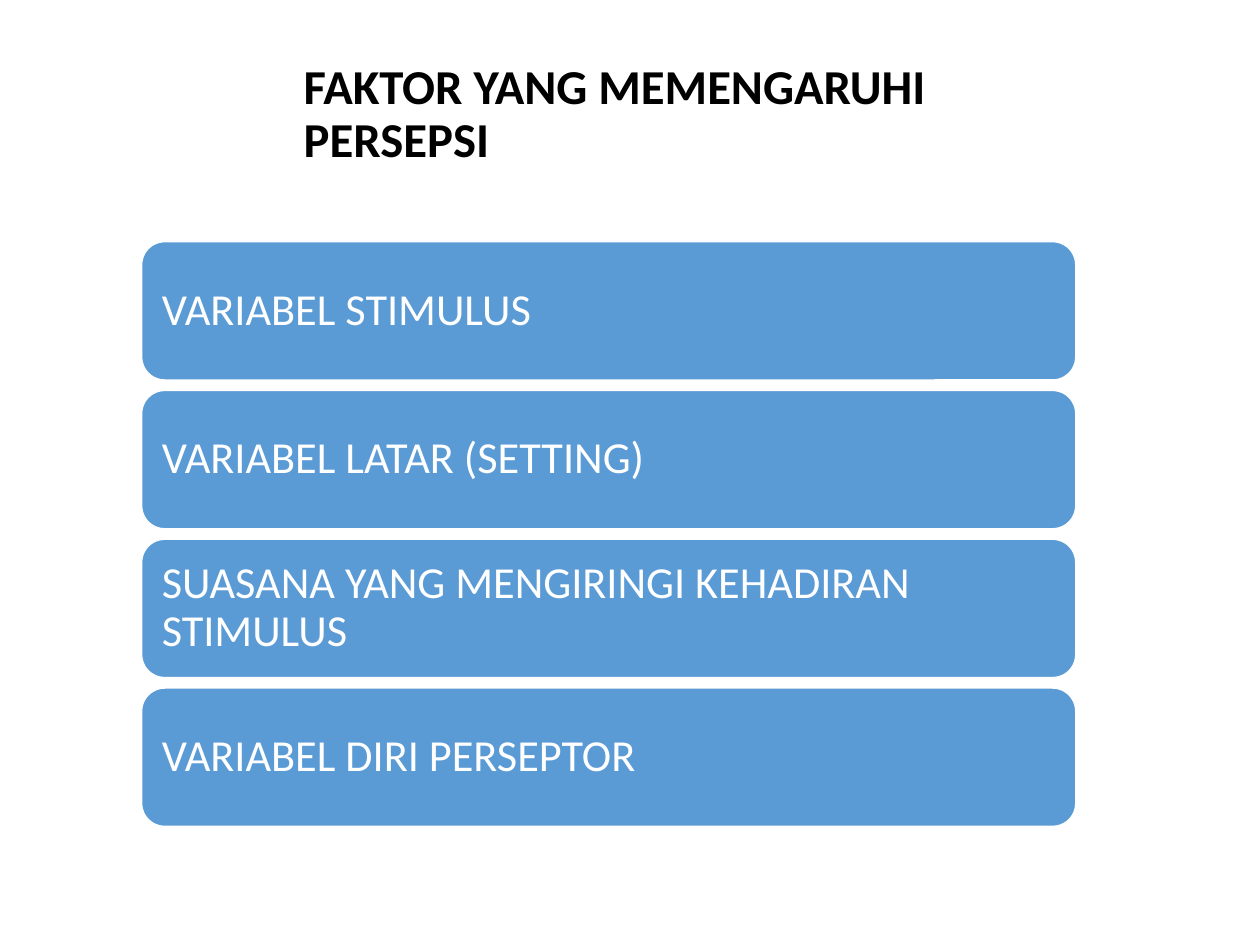
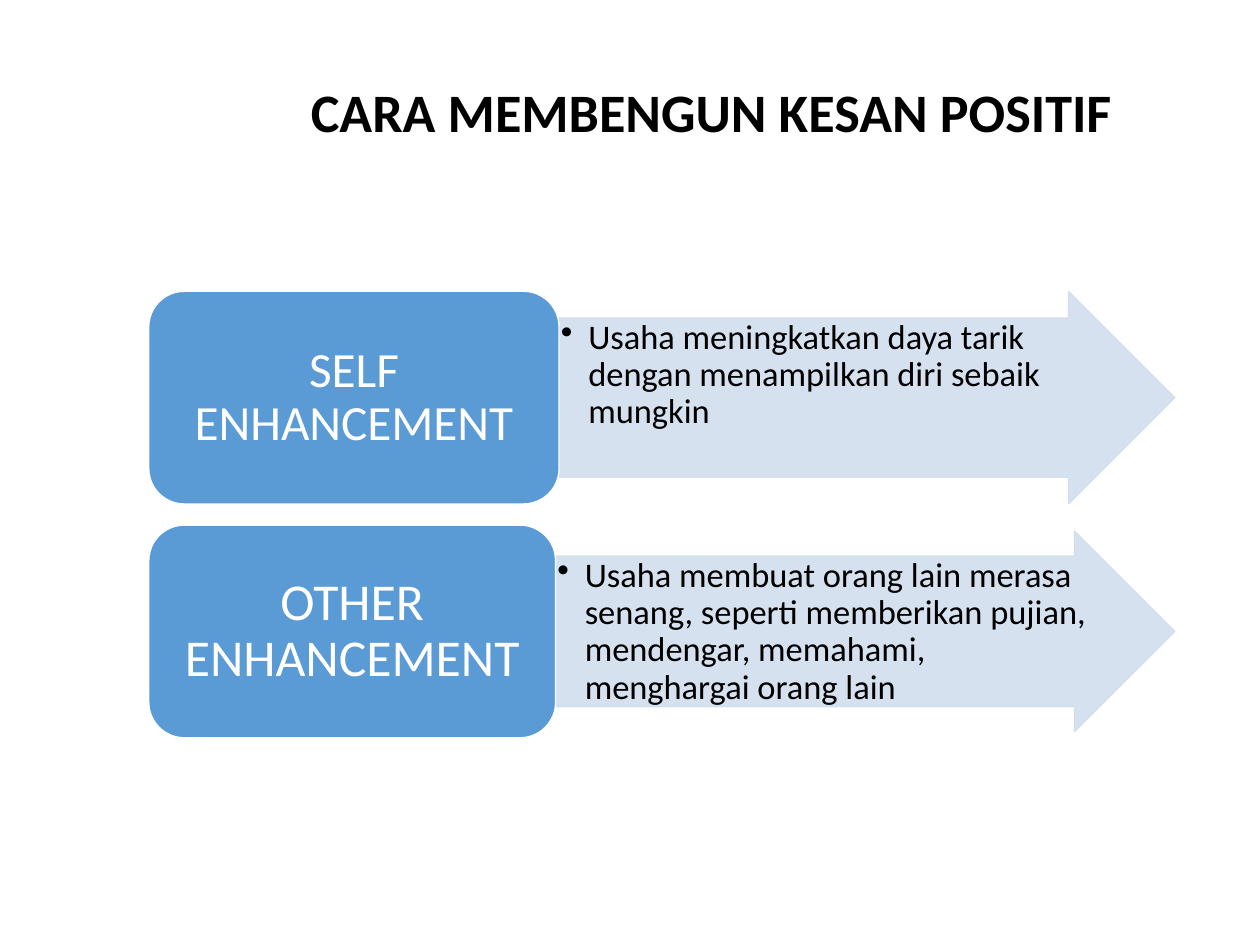
from pptx import Presentation
from pptx.dml.color import RGBColor
from pptx.enum.shapes import MSO_SHAPE as Shape
from pptx.enum.text import MSO_ANCHOR as Anchor, PP_ALIGN as Align
from pptx.oxml.ns import qn
from pptx.util import Inches, Pt
from lxml.etree import SubElement

# Shared look
FONT = "Calibri"
BLACK = RGBColor(0x00, 0x00, 0x00)
WHITE = RGBColor(0xFF, 0xFF, 0xFF)
BLUE = RGBColor(0x5B, 0x9B, 0xD5)
PALE_BLUE = RGBColor(0xD2, 0xDE, 0xEF)

presentation = Presentation()
presentation.slide_width = Inches(14.22)
presentation.slide_height = Inches(10.67)


def write(shape, text, size, color, align=Align.LEFT, anchor=Anchor.MIDDLE,
          insets=(0.1, 0.05), bold=False):
    """Set one styled paragraph; insets are horizontal and vertical."""
    frame = shape.text_frame
    frame.word_wrap = True
    frame.vertical_anchor = anchor
    frame.margin_left = frame.margin_right = Inches(insets[0])
    frame.margin_top = frame.margin_bottom = Inches(insets[1])
    paragraph = frame.paragraphs[0]
    paragraph.text = text
    paragraph.alignment = align
    paragraph.line_spacing = 0.9
    font = paragraph.font
    font.name, font.size, font.bold = FONT, Pt(size), bold
    font.color.rgb = color
    return paragraph


def add_block(slide, kind, box, fill, line):
    """Add a flat filled shape with a one-point outline."""
    shape = slide.shapes.add_shape(kind, *map(Inches, box))
    shape.shadow.inherit = False
    shape.fill.solid()
    shape.fill.fore_color.rgb = fill
    shape.line.color.rgb = line
    shape.line.width = Pt(1)
    return shape


# Slides and titles: text, left, width, size
titles = [
    ("FAKTOR YANG MEMENGARUHI PERSEPSI", 3.33, 9.36, 39.6),
    ("CARA MEMBENGUN KESAN POSITIF", 3.41, 9.61, 44),
]
slides = []
for text, left, width, size in titles:
    slide = presentation.slides.add_slide(presentation.slide_layouts[6])
    title = slide.shapes.add_textbox(
        Inches(left), Inches(0.77), Inches(width), Inches(1.06))
    write(title, text, size, BLACK, bold=True)
    slides.append(slide)
factor_slide, impression_slide = slides

# Slide 1: stacked factors
FACTOR_TOP, FACTOR_HEIGHT, FACTOR_GAP = 2.73, 1.56, 0.12
factors = [
    "VARIABEL STIMULUS",
    "VARIABEL LATAR (SETTING)",
    "SUASANA YANG MENGIRINGI KEHADIRAN STIMULUS",
    "VARIABEL DIRI PERSEPTOR",
]
for row, text in enumerate(factors):
    top = FACTOR_TOP + row * (FACTOR_HEIGHT + FACTOR_GAP)
    bar = add_block(factor_slide, Shape.ROUNDED_RECTANGLE,
                    (1.6, top, 10.54, FACTOR_HEIGHT), BLUE, WHITE)
    write(bar, text, 36, WHITE, insets=(0.15, 0.15))

# Slide 2: each strategy is a label followed by an arrow
LABEL_LEFT, LABEL_TOP, LABEL_HEIGHT, LABEL_PITCH = 1.68, 3.29, 2.4, 2.64
ARROW_TIP = 13.26
# Label, label width, label size, arrow height, explanation
strategies = [
    ("SELF ENHANCEMENT", 4.63, 40, 2.4,
     "Usaha meningkatkan daya tarik dengan menampilkan diri sebaik mungkin"),
    ("OTHER ENHANCEMENT", 4.59, 42, 2.27,
     "Usaha membuat orang lain merasa senang, seperti memberikan pujian, "
     "mendengar, memahami, menghargai orang lain"),
]
for row, (name, width, size, arrow_height, text) in enumerate(strategies):
    top = LABEL_TOP + row * LABEL_PITCH
    arrow_left = LABEL_LEFT + width
    arrow_top = top + (LABEL_HEIGHT - arrow_height) / 2
    arrow = add_block(
        impression_slide, Shape.RIGHT_ARROW,
        (arrow_left, arrow_top, ARROW_TIP - arrow_left, arrow_height),
        PALE_BLUE, PALE_BLUE)
    arrow.adjustments[0] = 0.75
    arrow.adjustments[1] = 0.5

    # Slight transparency of fill and outline
    for color in arrow.element.spPr.iter(qn("a:srgbClr")):
        SubElement(color, qn("a:alpha"), val="90000")

    # Bulleted explanation with a hanging indent
    paragraph = write(arrow, text, 28, BLACK, anchor=Anchor.TOP,
                      insets=(0.02, 0.02))
    properties = paragraph._p.get_or_add_pPr()
    properties.set("marL", str(Inches(0.31)))
    properties.set("indent", str(-Inches(0.31)))
    bullet = properties.makeelement(qn("a:buChar"), {"char": "•"})
    properties.insert_element_before(bullet, "a:tabLst", "a:defRPr", "a:extLst")

    label = add_block(impression_slide, Shape.ROUNDED_RECTANGLE,
                      (LABEL_LEFT, top, width, LABEL_HEIGHT), BLUE, WHITE)
    write(label, name, size, WHITE, Align.CENTER, insets=(0.17, 0.08))

presentation.save("out.pptx")
